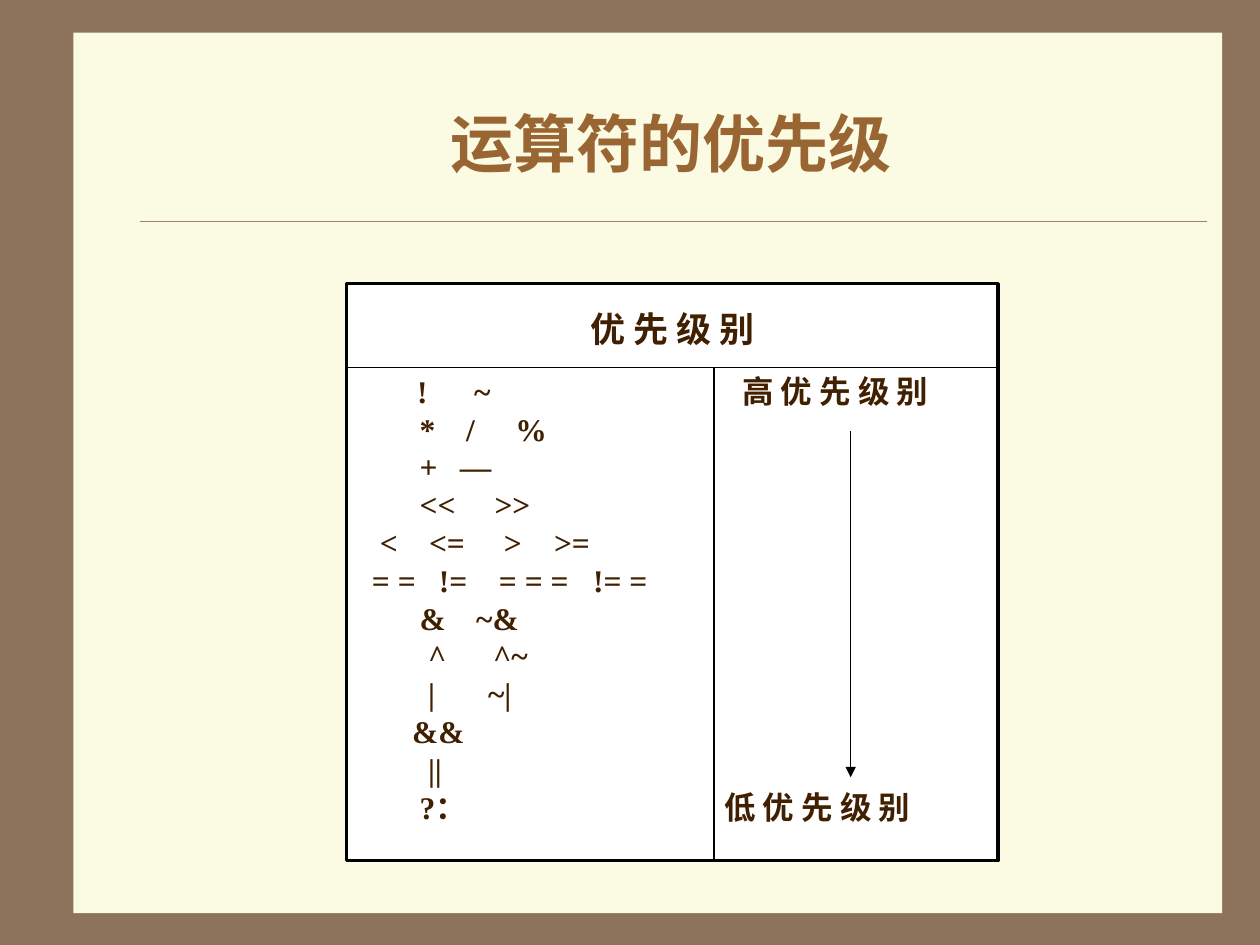
from dataclasses import dataclass

import lxml.etree
import pptx
import pptx.dml.color
import pptx.enum.shapes
import pptx.enum.text
import pptx.oxml.ns
import pptx.util
from pptx.util import Cm, Pt

LATIN, CJK = "Times New Roman", "Noto Sans CJK SC"
CREAM, BROWN, TAN, DARK, BLACK = "FBFAE2", "8C735A", "A08366", "402000", "000000"
ALIGN = pptx.enum.text.PP_ALIGN
TITLE_FORMAT = {"size": Pt(36), "bold": True, "name": LATIN}
HEADER_FORMAT = {"size": Pt(20), "bold": True, "name": CJK}
ROW_FORMAT = {"size": Pt(18), "bold": True, "name": LATIN}
LABEL_FORMAT = {**ROW_FORMAT, "name": CJK}


@dataclass
class Row:
    operators: list[str]
    stops: list[float]
    label: str = ""


@dataclass
class Line:
    x1: float
    y1: float
    x2: float
    y2: float
    width: float
    color: str = BLACK
    arrow: bool = False


ROWS = [
    Row(["!", "~"], [1.39, 2.54, 7.94], "高 优 先 级 别"),
    Row(["*", "/", "%"], [1.44, 2.38, 3.37]),
    Row(["+", "—"], [1.44, 2.25]),
    Row(["<<", ">>"], [1.44, 2.95]),
    Row(["<", "<=", ">", ">="], [0.64, 1.63, 3.14, 4.15]),
    Row(["= =", "!=", "= = =", "!= ="], [0.48, 1.83, 3.04, 4.94]),
    Row(["&", "~&"], [1.44, 2.58]),
    Row(["^", "^~"], [1.61, 2.92]),
    Row(["|", "~|"], [1.61, 2.82]),
    Row(["&&"], [1.29]),
    Row(["||"], [1.61]),
    Row(["?："], [1.44, 7.58], "低 优 先 级 别"),
]
TITLE_RULE = Line(2.82, 4.45, 24.33, 4.45, 0.25, TAN)
TABLE_LINES = [
    Line(6.99, 7.41, 20.12, 7.41, 1),
    Line(14.4, 7.41, 14.4, 17.35, 1),
    Line(17.15, 8.69, 17.15, 15.67, 0.75, arrow=True),
]


def rgb(color: str) -> pptx.dml.color.RGBColor:
    return pptx.dml.color.RGBColor.from_string(color)


def set_values(target, values: dict) -> None:
    for name, value in values.items():
        setattr(target, name, value)


def fill(target, color: str) -> None:
    target.fill.solid()
    target.fill.fore_color.rgb = rgb(color)


def add_child(parent, tag: str, **attributes: str):
    return lxml.etree.SubElement(parent, pptx.oxml.ns.qn(tag), attributes)


def add_run(p, text: str, values: dict, color: str) -> None:
    r = p.add_run()
    r.text = text
    set_values(r.font, values)
    r.font.color.rgb = rgb(color)
    add_child(r.font._element, "a:ea", typeface=CJK)


def add_rect(s, left: float, top: float, width: float, height: float, color: str):
    sp = s.shapes.add_shape(pptx.enum.shapes.MSO_SHAPE.RECTANGLE,
                            Cm(left), Cm(top), Cm(width), Cm(height))
    sp.shadow.inherit = False
    fill(sp, color)
    sp.line.fill.background()
    return sp


def add_line(s, line: Line) -> None:
    c = s.shapes.add_connector(pptx.enum.shapes.MSO_CONNECTOR.STRAIGHT,
                               Cm(line.x1), Cm(line.y1), Cm(line.x2), Cm(line.y2))
    c.line.width = Pt(line.width)
    c.line.color.rgb = rgb(line.color)
    if line.arrow:
        add_child(c.line._get_or_add_ln(), "a:tailEnd", type="triangle")
    add_child(c._element.spPr, "a:effectLst")


def add_row(tf, row: Row) -> None:
    p = tf.add_paragraph()
    tabs = add_child(p._p.get_or_add_pPr(), "a:tabLst")
    for stop in row.stops:
        add_child(tabs, "a:tab", pos=str(int(Cm(stop))), algn="l")
    set_values(p, {"alignment": ALIGN.LEFT, "line_spacing": Pt(21.6)})
    add_run(p, "".join("\t" + o for o in row.operators), ROW_FORMAT, DARK)
    if row.label:
        add_run(p, "\t" + row.label, LABEL_FORMAT, DARK)


def add_title(s, text: str) -> None:
    sp = s.shapes.title
    set_values(sp, {"left": Cm(2.74), "top": Cm(1.27), "width": Cm(21.59), "height": Cm(3.18)})
    fill(sp, CREAM)
    sp.text_frame.vertical_anchor = pptx.enum.text.MSO_ANCHOR.MIDDLE
    p = sp.text_frame.paragraphs[0]
    p.alignment = ALIGN.CENTER
    add_run(p, text, TITLE_FORMAT, "996633")
    s.shapes._spTree.append(sp._element)


def add_precedence_box(s) -> None:
    sp = add_rect(s, 6.99, 5.72, 13.13, 11.63, "FFFFFF")
    sp.line.color.rgb = rgb(BLACK)
    sp.line.width = Pt(2)
    tf = sp.text_frame
    set_values(tf, {"word_wrap": True, "vertical_anchor": pptx.enum.text.MSO_ANCHOR.TOP,
                    "margin_left": Cm(0.03), "margin_right": Cm(0.03),
                    "margin_top": Cm(0.47), "margin_bottom": Cm(0.03)})
    p = tf.paragraphs[0]
    p.alignment = ALIGN.CENTER
    add_run(p, "优 先 级 别", HEADER_FORMAT, DARK)
    for row in ROWS:
        add_row(tf, row)
    tf.paragraphs[1].space_before = Pt(13)


def main() -> None:
    prs = pptx.Presentation()
    set_values(prs, {"slide_width": Cm(25.4), "slide_height": Cm(19.05)})
    s = prs.slides.add_slide(prs.slide_layouts[5])
    fill(s.background, BROWN)
    add_rect(s, 1.48, 0.66, 23.16, 17.75, CREAM)
    add_line(s, TITLE_RULE)
    add_title(s, "运算符的优先级")
    add_precedence_box(s)
    for line in TABLE_LINES:
        add_line(s, line)
    prs.save("out.pptx")


if __name__ == "__main__":
    main()
